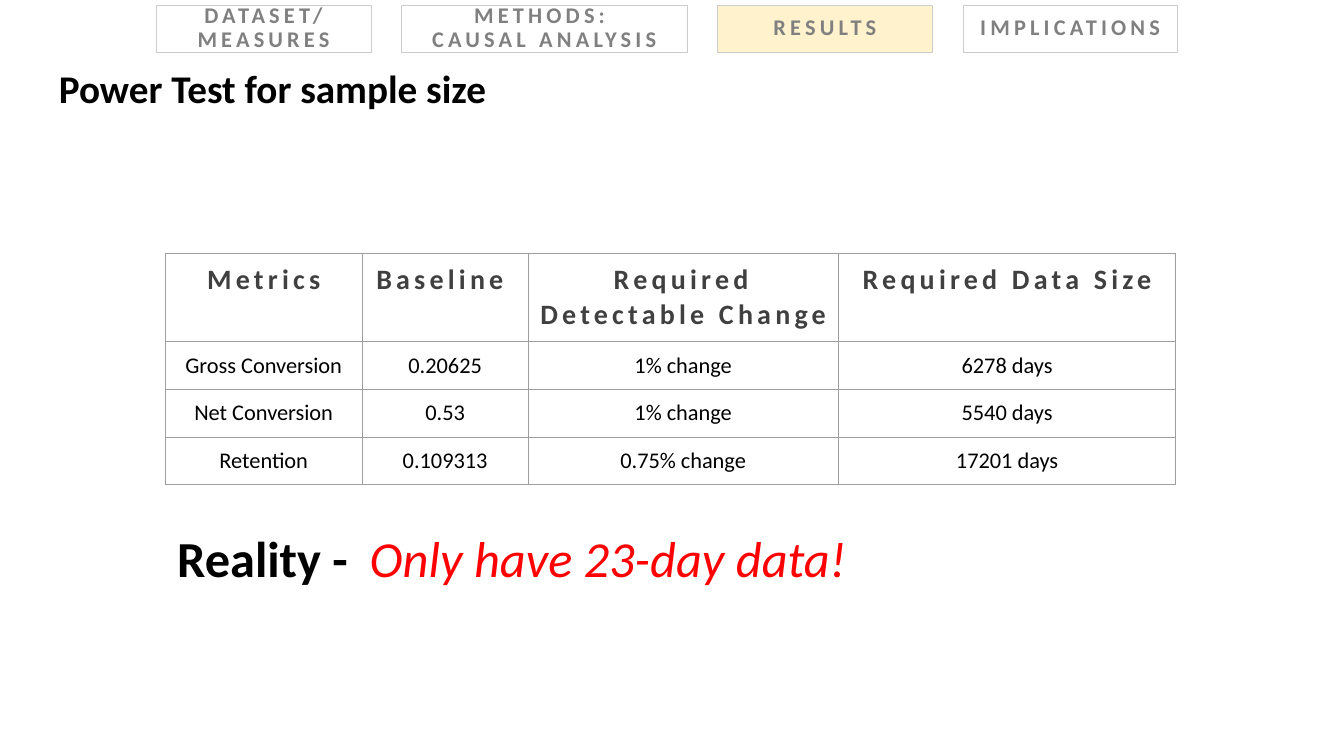
import lxml.etree
import pptx
import pptx.dml.color
import pptx.enum.shapes
import pptx.enum.text
import pptx.oxml.ns
import pptx.util

Pt = pptx.util.Pt
RGBColor = pptx.dml.color.RGBColor
PP_ALIGN = pptx.enum.text.PP_ALIGN
MSO_ANCHOR = pptx.enum.text.MSO_ANCHOR
qn = pptx.oxml.ns.qn

BLACK = RGBColor(0x00, 0x00, 0x00)
DARK_GREY = RGBColor(0x40, 0x40, 0x40)
TAB_GREY = RGBColor(0x80, 0x80, 0x80)
TAB_LINE = RGBColor(0xCC, 0xCC, 0xCC)
GRID_GREY = RGBColor(0x9E, 0x9E, 0x9E)
CREAM = RGBColor(0xFF, 0xF2, 0xCC)
WHITE = RGBColor(0xFF, 0xFF, 0xFF)
RED = RGBColor(0xFF, 0x00, 0x00)

INSET = 7.2
SECTIONS = [
    (["DATASET/", "MEASURES"], 153.4, None),
    (["METHODS: ", "CAUSAL ANALYSIS"], 204, None),
    (["RESULTS"], 153.4, CREAM),
    (["IMPLICATIONS"], 153.4, WHITE),
]
POWER_TEST = [
    ["Metrics", "Baseline ", "Required Detectable Change", "Required Data Size"],
    ["Gross Conversion", "0.20625", "1% change", "6278 days"],
    ["Net Conversion", "0.53", "1% change", "5540 days"],
    ["Retention", "0.109313", "0.75% change", "17201 days"],
]
COLUMN_SHARES = [0.195, 0.164, 0.307, 0.334]


def format_paragraph(paragraph, size, color, bold=False, italic=False,
                     align=PP_ALIGN.LEFT, tracking=0):
    """Format a whole paragraph; tracking is the letter spacing in points."""
    paragraph.alignment = align
    font = paragraph.font
    font.name = "Calibri"
    font.size = Pt(size)
    font.bold = bold
    font.italic = italic
    font.color.rgb = color
    if tracking:
        properties = paragraph._p.pPr.find(qn("a:defRPr"))
        properties.set("spc", str(tracking * 100))


def set_insets(frame, inset):
    frame.margin_left = frame.margin_right = Pt(inset)
    frame.margin_top = frame.margin_bottom = Pt(inset)


def add_section_tabs(slide, left, top, height, gap):
    for lines, width, fill in SECTIONS:
        tab = slide.shapes.add_shape(
            pptx.enum.shapes.MSO_SHAPE.RECTANGLE,
            Pt(left), Pt(top), Pt(width), Pt(height))
        tab.shadow.inherit = False
        tab.line.color.rgb = TAB_LINE
        tab.line.width = Pt(0.5)
        if fill is None:
            tab.fill.background()
        else:
            tab.fill.solid()
            tab.fill.fore_color.rgb = fill
        frame = tab.text_frame
        frame.word_wrap = True
        frame.vertical_anchor = MSO_ANCHOR.MIDDLE
        set_insets(frame, INSET)
        frame.text = "\n".join(lines)
        for paragraph in frame.paragraphs:
            paragraph.line_spacing = 0.9
            format_paragraph(paragraph, 16, TAB_GREY, bold=True,
                             align=PP_ALIGN.CENTER, tracking=3)
        left += width + gap


def place_title(slide, left, top, width, height):
    title = slide.shapes.title
    title.left, title.top = Pt(left), Pt(top)
    title.width, title.height = Pt(width), Pt(height)
    frame = title.text_frame
    frame.text = "Power Test for sample size"
    frame.word_wrap = True
    frame.auto_size = pptx.enum.text.MSO_AUTO_SIZE.NONE
    frame.vertical_anchor = MSO_ANCHOR.TOP
    set_insets(frame, 0)
    frame.paragraphs[0].line_spacing = 0.9
    format_paragraph(frame.paragraphs[0], 28, BLACK, bold=True)


def add_cell_borders(cell):
    properties = cell._tc.get_or_add_tcPr()
    for side in ("a:lnL", "a:lnR", "a:lnT", "a:lnB"):
        border = lxml.etree.SubElement(properties, qn(side), w=str(Pt(0.75)))
        fill = lxml.etree.SubElement(border, qn("a:solidFill"))
        lxml.etree.SubElement(fill, qn("a:srgbClr"), val=str(GRID_GREY))


def add_power_table(slide, left, top, width, header_height, row_height):
    height = header_height + row_height * (len(POWER_TEST) - 1)
    table = slide.shapes.add_table(
        len(POWER_TEST), len(COLUMN_SHARES),
        Pt(left), Pt(top), Pt(width), Pt(height)).table
    table.first_row = True
    table.horz_banding = False
    for column, share in zip(table.columns, COLUMN_SHARES):
        column.width = Pt(width * share)
    for row_index, values in enumerate(POWER_TEST):
        is_header = row_index == 0
        table.rows[row_index].height = Pt(header_height if is_header else row_height)
        for column_index, value in enumerate(values):
            cell = table.cell(row_index, column_index)
            cell.text = value
            set_insets(cell, INSET)
            add_cell_borders(cell)
            cell.fill.background()
            paragraph = cell.text_frame.paragraphs[0]
            if is_header:
                format_paragraph(paragraph, 20, DARK_GREY, bold=True,
                                 align=PP_ALIGN.CENTER, tracking=3)
            else:
                format_paragraph(paragraph, 16, BLACK, align=PP_ALIGN.CENTER)


def add_reality_check(slide, left, top, height):
    parts = [
        ("Reality -", 0, 146, BLACK, True, False),
        ("Only have 23-day data!", 137.5, 502, RED, False, True),
    ]
    for text, offset, width, color, bold, italic in parts:
        frame = slide.shapes.add_textbox(
            Pt(left + offset), Pt(top), Pt(width), Pt(height)).text_frame
        frame.word_wrap = True
        set_insets(frame, INSET)
        frame.text = text
        format_paragraph(frame.paragraphs[0], 36, color, bold, italic)


def main():
    deck = pptx.Presentation()
    deck.slide_width, deck.slide_height = Pt(960), Pt(540)
    slide = deck.slides.add_slide(deck.slide_layouts[5])
    add_section_tabs(slide, left=111.6, top=3.6, height=33.8, gap=21.8)
    place_title(slide, left=42, top=49.7, width=868, height=76)
    add_power_table(slide, left=118, top=180.8, width=722,
                    header_height=63, row_height=34)
    add_reality_check(slide, left=119.5, top=369.4, height=60)
    deck.save("out.pptx")


if __name__ == "__main__":
    main()
